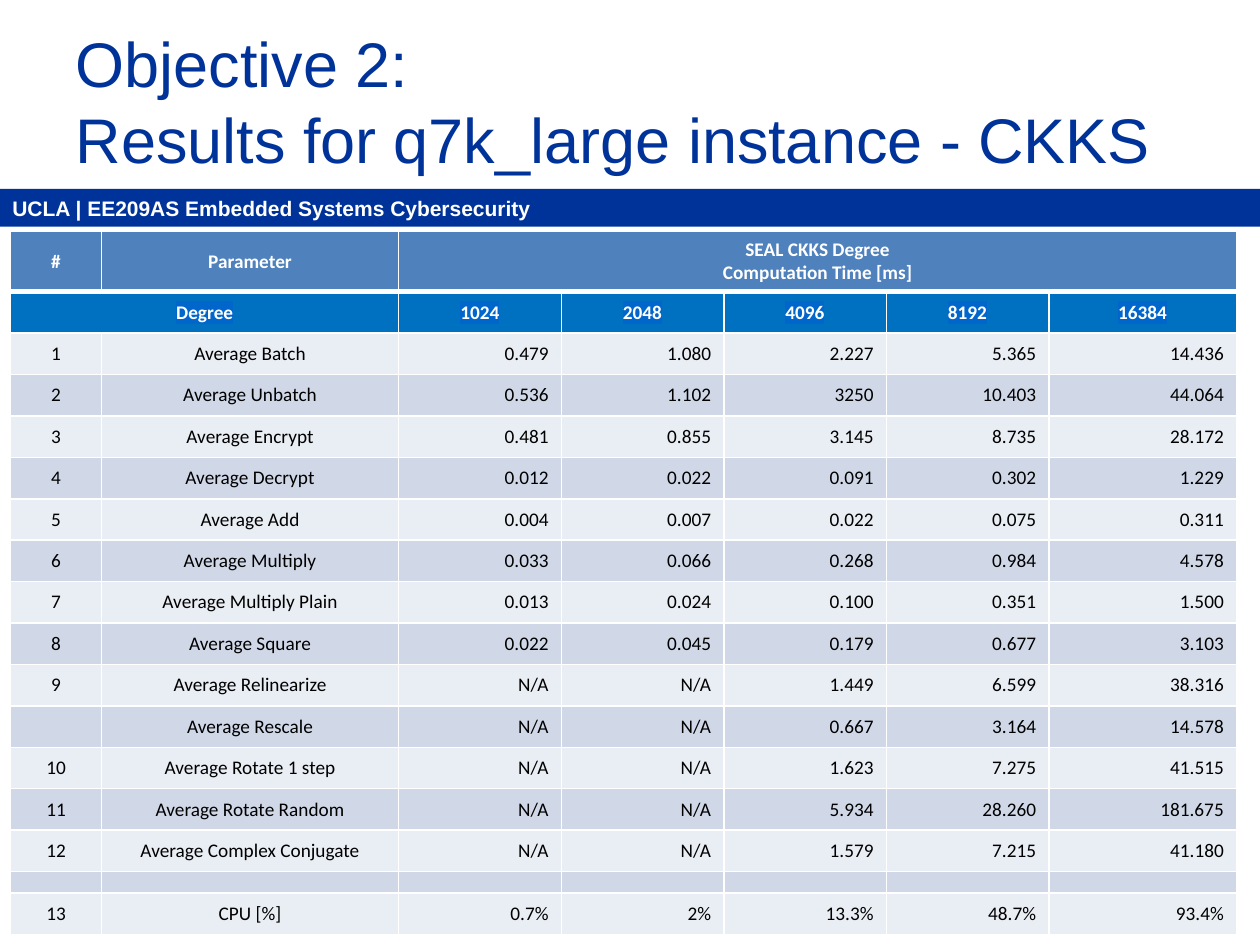
"""Build the slide with the CKKS timing results for the q7k_large instance."""
from dataclasses import dataclass

from lxml.etree import SubElement
from pptx import Presentation
from pptx.dml.color import RGBColor
from pptx.enum.shapes import MSO_SHAPE as Shape
from pptx.enum.text import MSO_ANCHOR as Anchor, MSO_AUTO_SIZE as AutoSize, PP_ALIGN as Align
from pptx.oxml.ns import qn
from pptx.util import Inches, Pt


@dataclass(frozen=True)
class Theme:
    navy: str = "003399"
    white: str = "FFFFFF"
    black: str = "000000"
    header: str = "4F81BD"
    degree: str = "0070C0"
    highlight: str = "0066CC"
    bands: tuple = ("E9EDF4", "D0D8E8")
    heading_font: str = "Arial"
    table_font: str = "Calibri"
    title_size: int = 36
    bar_size: int = 12
    table_size: int = 11
    gap_size: int = 8
    thin: int = 1
    thick: int = 3


COLUMN_WIDTHS = [7.2, 23.6, 12.9, 12.9, 12.9, 12.9, 14.9]
HEADER_HEIGHT, ROW_HEIGHT, GAP_HEIGHT = 4.8, 3.29, 1.7
DEGREES = ["1024", "2048", "4096", "8192", "16384"]
RESULTS = [
    ["1", "Average Batch", "0.479", "1.080", "2.227", "5.365", "14.436"],
    ["2", "Average Unbatch", "0.536", "1.102", "3250", "10.403", "44.064"],
    ["3", "Average Encrypt", "0.481", "0.855", "3.145", "8.735", "28.172"],
    ["4", "Average Decrypt", "0.012", "0.022", "0.091", "0.302", "1.229"],
    ["5", "Average Add", "0.004", "0.007", "0.022", "0.075", "0.311"],
    ["6", "Average Multiply", "0.033", "0.066", "0.268", "0.984", "4.578"],
    ["7", "Average Multiply Plain", "0.013", "0.024", "0.100", "0.351", "1.500"],
    ["8", "Average Square", "0.022", "0.045", "0.179", "0.677", "3.103"],
    ["9", "Average Relinearize", "N/A", "N/A", "1.449", "6.599", "38.316"],
    ["", "Average Rescale", "N/A", "N/A", "0.667", "3.164", "14.578"],
    ["10", "Average Rotate 1 step", "N/A", "N/A", "1.623", "7.275", "41.515"],
    ["11", "Average Rotate Random", "N/A", "N/A", "5.934", "28.260", "181.675"],
    ["12", "Average Complex Conjugate", "N/A", "N/A", "1.579", "7.215", "41.180"],
    [""] * 7,
    ["13", "CPU [%]", "0.7%", "2%", "13.3%", "48.7%", "93.4%"],
]


class SlideBuilder:
    """Hold the theme and the current slide, on a grid of 100 columns by 75 rows."""

    def __init__(self, presentation, theme):
        self.theme = theme
        self.unit = presentation.slide_width / 100
        self.slide = presentation.slides.add_slide(presentation.slide_layouts[5])

    def grid(self, *cells):
        return [round(cell * self.unit) for cell in cells]

    def run(self, paragraph, text, size, font, color, bold=False, highlight=None):
        run = paragraph.add_run()
        run.text = text
        run.font.size, run.font.bold = Pt(size), bold
        run.font.color.rgb = RGBColor.from_string(color)
        if highlight:
            mark = SubElement(run._r.get_or_add_rPr(), qn("a:highlight"))
            SubElement(mark, qn("a:srgbClr"), val=highlight)
        run.font.name = font

    def title(self, lines, *place):
        theme, shape = self.theme, self.slide.shapes.title
        shape.left, shape.top, shape.width, shape.height = self.grid(*place)
        frame = shape.text_frame
        frame.auto_size, frame.vertical_anchor = AutoSize.NONE, Anchor.MIDDLE
        paragraph = frame.paragraphs[0]
        paragraph.alignment = Align.LEFT
        for index, line in enumerate(lines):
            if index:
                paragraph.add_line_break()
            self.run(paragraph, line, theme.title_size, theme.heading_font, theme.navy)

    def bar(self, text, *place):
        theme = self.theme
        shape = self.slide.shapes.add_shape(Shape.RECTANGLE, *self.grid(*place))
        shape.shadow.inherit = False
        shape.fill.solid()
        shape.fill.fore_color.rgb = RGBColor.from_string(theme.navy)
        shape.line.fill.background()
        shape.text_frame.vertical_anchor = Anchor.MIDDLE
        paragraph = shape.text_frame.paragraphs[0]
        paragraph.alignment = Align.LEFT
        self.run(paragraph, text, theme.bar_size, theme.heading_font, theme.white, True)

    def table(self, left, top, widths, heights):
        place = self.grid(left, top, sum(widths), sum(heights))
        table = self.slide.shapes.add_table(len(heights), len(widths), *place).table
        for column, width in zip(table.columns, self.grid(*widths)):
            column.width = width
        for row, height in zip(table.rows, self.grid(*heights)):
            row.height = height
        return table

    def cell(self, cell, text, fill, color, align=Align.CENTER, bold=False,
             highlight=None, top=None, bottom=None):
        theme = self.theme
        borders = {"L": theme.thin, "R": theme.thin,
                   "T": top or theme.thin, "B": bottom or theme.thin}
        properties = cell._tc.get_or_add_tcPr()
        for side, width in borders.items():
            line = SubElement(properties, qn(f"a:ln{side}"), w=str(Pt(width)))
            SubElement(SubElement(line, qn("a:solidFill")), qn("a:srgbClr"), val=theme.white)
        cell.fill.solid()
        cell.fill.fore_color.rgb = RGBColor.from_string(fill)
        cell.vertical_anchor = Anchor.MIDDLE
        frame = cell.text_frame
        if not text:
            cell.margin_top = cell.margin_bottom = 0
            SubElement(frame.paragraphs[0]._p, qn("a:endParaRPr"), sz=str(theme.gap_size * 100))
            return
        for index, line in enumerate(text.split("\n")):
            paragraph = frame.add_paragraph() if index else frame.paragraphs[0]
            paragraph.alignment = align
            self.run(paragraph, line, theme.table_size, theme.table_font, color, bold, highlight)

    def results(self, left, top):
        theme = self.theme
        heights = [ROW_HEIGHT if any(row) else GAP_HEIGHT for row in RESULTS]
        table = self.table(left, top, COLUMN_WIDTHS, [HEADER_HEIGHT, ROW_HEIGHT, *heights])
        table.cell(0, 2).merge(table.cell(0, 6))
        table.cell(1, 0).merge(table.cell(1, 1))
        headings = ["#", "Parameter", "SEAL CKKS Degree\nComputation Time [ms]", *[""] * 4]
        for column, text in enumerate(headings):
            self.cell(table.cell(0, column), text, theme.header, theme.white,
                      bold=True, bottom=theme.thick)
        for column, text in enumerate(["Degree", "", *DEGREES]):
            self.cell(table.cell(1, column), text, theme.degree, theme.white,
                      bold=True, highlight=theme.highlight, top=theme.thick)
        for index, row in enumerate(RESULTS):
            for column, text in enumerate(row):
                align = Align.CENTER if column < 2 else Align.RIGHT
                self.cell(table.cell(index + 2, column), text,
                          theme.bands[index % 2], theme.black, align)


def main():
    presentation = Presentation()
    presentation.slide_width, presentation.slide_height = Inches(10), Inches(7.5)
    builder = SlideBuilder(presentation, Theme())
    builder.bar("UCLA | EE209AS Embedded Systems Cybersecurity", 0, 15, 100, 3)
    builder.title(["Objective 2: ", "Results for q7k_large instance - CKKS"], 5, 1.7, 90, 12.5)
    builder.results(0.85, 18.35)
    presentation.save("out.pptx")


if __name__ == "__main__":
    main()
